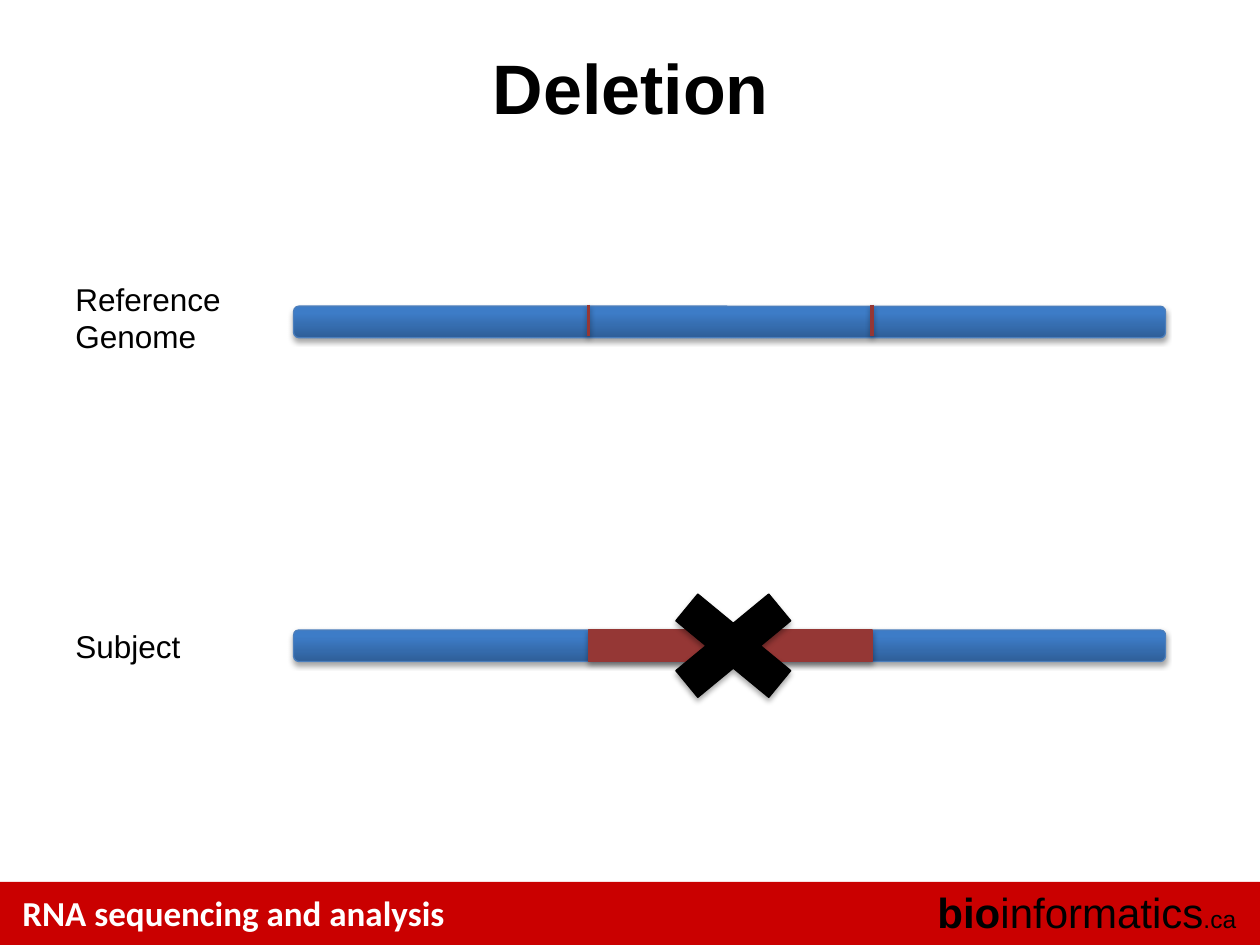
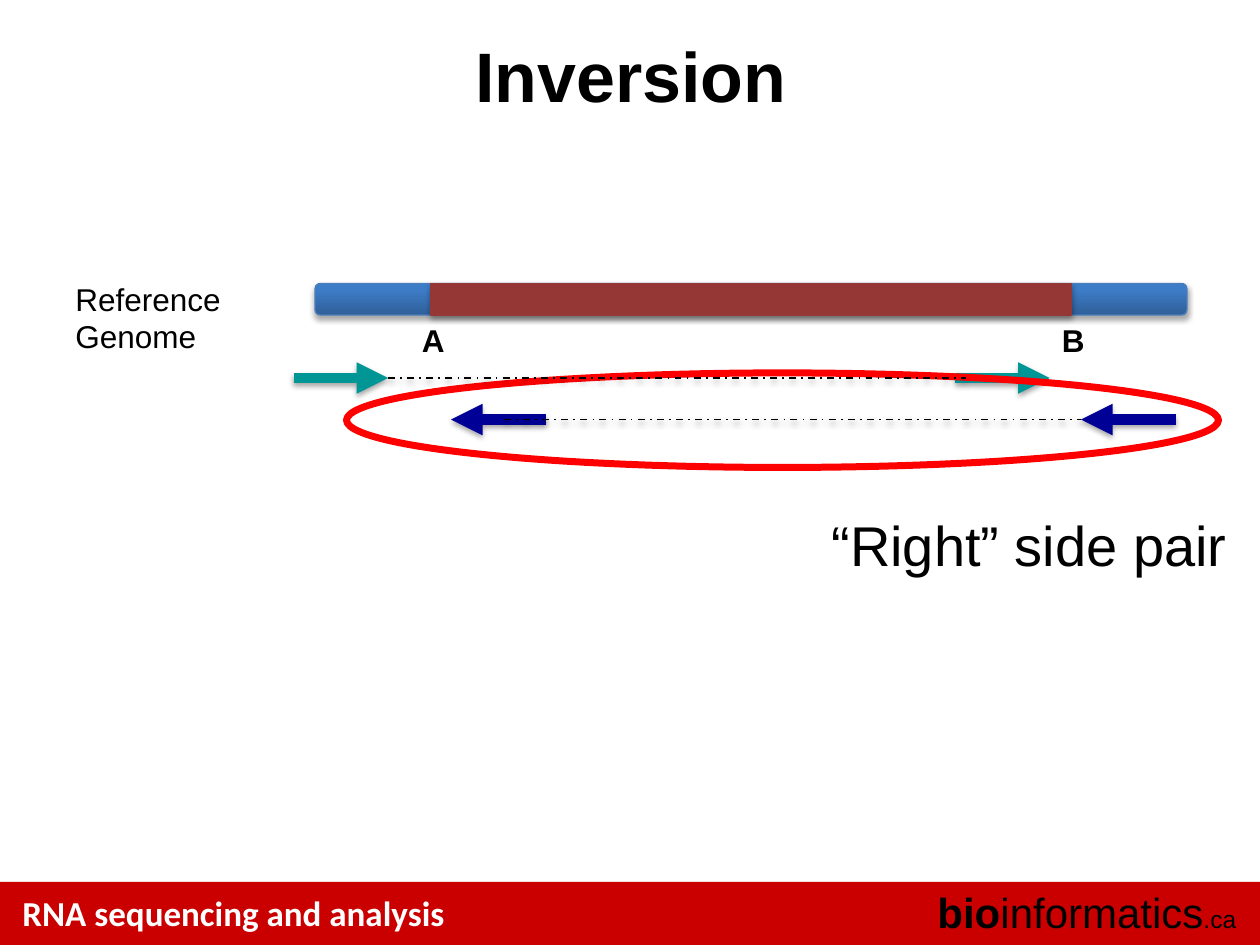
import pptx
import pptx.util
import pptx.dml.color
import pptx.enum.dml
import pptx.enum.shapes
import pptx.enum.text
from lxml import etree

Inches, Pt = pptx.util.Inches, pptx.util.Pt
RGBColor = pptx.dml.color.RGBColor
Shape = pptx.enum.shapes.MSO_SHAPE
Align = pptx.enum.text.PP_ALIGN
DASH = pptx.enum.dml.MSO_LINE.DASH_DOT

BLACK = RGBColor(0x00, 0x00, 0x00)
WHITE = RGBColor(0xFF, 0xFF, 0xFF)
BAND = RGBColor(0xCA, 0x00, 0x00)
DEEP = RGBColor(0x2F, 0x5F, 0x99)
BLUE = RGBColor(0x3D, 0x7C, 0xC7)
EDGE = RGBColor(0x4B, 0x7E, 0xBC)
BROWN = RGBColor(0x95, 0x37, 0x35)
TEAL = RGBColor(0x00, 0x96, 0x96)
NAVY = RGBColor(0x00, 0x00, 0x96)
RED = RGBColor(0xFF, 0x00, 0x00)

NS = "http://schemas.openxmlformats.org/drawingml/2006/main"
SHADOW = (f'<a:effectLst xmlns:a="{NS}"><a:outerShdw blurRad="40000" dist="23000" '
          'dir="5400000" rotWithShape="0"><a:srgbClr val="000000">'
          '<a:alpha val="35000"/></a:srgbClr></a:outerShdw></a:effectLst>')
ARROW = f'<a:tailEnd xmlns:a="{NS}" type="triangle"/>'


def write(slide, box, text, size=18, bold=False, color=BLACK, font="Arial",
          align=Align.LEFT, wrap=True):
    """Add a text box and return its text frame."""
    frame = slide.shapes.add_textbox(*map(Inches, box)).text_frame
    frame.word_wrap = wrap
    para = frame.paragraphs[0]
    para.text = text
    para.alignment = align
    para.font.size = Pt(size)
    para.font.bold = bold
    para.font.name = font
    para.font.color.rgb = color
    return frame


def rule(slide, ends, color, width, dash=None, arrow=False):
    """Draw a shadowed line between two points."""
    line = slide.shapes.add_connector(
        pptx.enum.shapes.MSO_CONNECTOR.STRAIGHT, *map(Inches, ends))
    line.line.color.rgb = color
    line.line.width = Pt(width)
    if dash:
        line.line.dash_style = dash
    if arrow:
        line.line._get_or_add_ln().append(etree.fromstring(ARROW))
    line._element.spPr.append(etree.fromstring(SHADOW))


deck = pptx.Presentation()
deck.slide_width, deck.slide_height = Inches(10), Inches(7.5)

# Shared band, footer, title and reference label
slides = []
for title, top in (("Deletion", 0.06), ("Inversion", -0.03)):
    slide = deck.slides.add_slide(deck.slide_layouts[6])
    slides.append(slide)
    band = slide.shapes.add_shape(Shape.RECTANGLE, 0, Inches(7), Inches(10), Inches(0.5))
    band.shadow.inherit = False
    band.fill.solid()
    band.fill.fore_color.rgb = BAND
    band.line.fill.background()
    write(slide, (0.08, 7.03, 7.33, 0.44), "RNA sequencing and analysis",
          20, True, WHITE, "Calibri")
    site = write(slide, (7.33, 6.99, 2.58, 0.5), "", 24, align=Align.RIGHT).paragraphs[0]
    for part in ("bio", "informatics", ".ca"):
        site.add_run().text = part
    site.runs[0].font.bold = True
    site.runs[2].font.size = Pt(14)
    head = write(slide, (0.17, top, 9.67, 1.25), title, 40, True, align=Align.CENTER)
    head.vertical_anchor = pptx.enum.text.MSO_ANCHOR.MIDDLE
    write(slide, (0.5, 2.17, 1.42, 0.71), "Reference Genome")
loss, turn = slides

# Genome bars, marked segments and the cross
for slide, kind, box, color in (
        (loss, Shape.ROUNDED_RECTANGLE, (2.33, 2.43, 6.92, 0.25), BLUE),
        (loss, Shape.ROUNDED_RECTANGLE, (2.33, 5, 6.92, 0.25), BLUE),
        (loss, Shape.RECTANGLE, (4.67, 5, 2.25, 0.25), BROWN),
        (loss, Shape.MATH_MULTIPLY, (5.11, 4.54, 1.42, 1.17), BLACK),
        (turn, Shape.ROUNDED_RECTANGLE, (2.5, 2.25, 6.92, 0.25), BLUE),
        (turn, Shape.RECTANGLE, (3.42, 2.25, 5.08, 0.25), BROWN)):
    shape = slide.shapes.add_shape(kind, *map(Inches, box))
    if color == BLUE:
        shape.fill.gradient()
        shape.fill.gradient_angle = 90
        for stop, tint, place in zip(shape.fill.gradient_stops, (DEEP, BLUE), (0, 0.8)):
            stop.color.rgb = tint
            stop.position = place
    else:
        shape.fill.solid()
        shape.fill.fore_color.rgb = color
    shape.line.color.rgb = EDGE if color == BLUE else color
    shape.line.width = Pt(0.75)
    shape._element.spPr.append(etree.fromstring(SHADOW))

# Deletion: subject label and break points
write(loss, (0.5, 4.93, 1.42, 0.4), "Subject")
for x in (4.67, 6.92):
    rule(loss, (x, 2.42, x, 2.67), BROWN, 2)

# Inversion: break points, read pairs and the ringed pair
for name, x in (("A", 3.25), ("B", 8.33)):
    write(turn, (x, 2.5, 0.38, 0.4), name, bold=True, wrap=False)
for start, y, step, color in ((2.33, 3, 0.75, TEAL), (7.58, 3, 0.75, TEAL),
                              (9.33, 3.33, -0.75, NAVY), (4.33, 3.33, -0.75, NAVY)):
    rule(turn, (start, y, start + step, y), color, 6, arrow=True)
write(turn, (6.5, 4, 3.37, 0.64), "“Right” side pair", 32, wrap=False)
ring = turn.shapes.add_shape(Shape.OVAL, *map(Inches, (2.75, 2.96, 6.92, 0.75)))
ring.shadow.inherit = False
ring.fill.background()
ring.line.color.rgb = RED
ring.line.width = Pt(4)
for left, right, y in ((3.08, 7.67, 3), (4, 8.58, 3.33)):
    rule(turn, (left, y, right, y), BLACK, 1, DASH)

deck.save("out.pptx")
